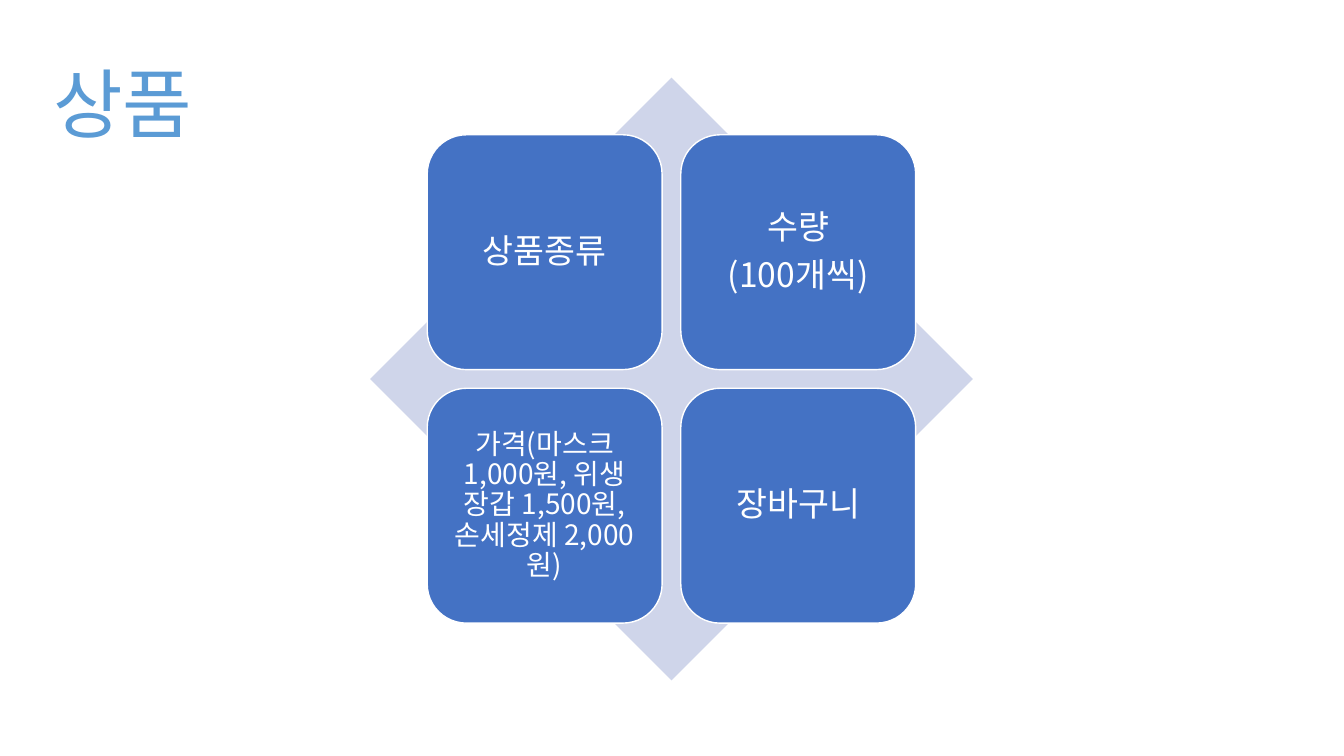
from lxml import etree
from pptx import Presentation
from pptx.dml.color import RGBColor
from pptx.enum.shapes import MSO_SHAPE
from pptx.enum.text import MSO_ANCHOR, PP_ALIGN
from pptx.oxml.ns import qn
from pptx.util import Inches, Pt

DIAMOND, ROUNDED = MSO_SHAPE.DIAMOND, MSO_SHAPE.ROUNDED_RECTANGLE
MIDDLE = MSO_ANCHOR.MIDDLE
LEFT, CENTER = PP_ALIGN.LEFT, PP_ALIGN.CENTER

FONT = "Noto Sans CJK KR"
COLORS = {"title": "5B9BD5", "diamond": "CFD5EA", "card": "4472C4", "white": "FFFFFF"}

TITLE = "상품"
# Paragraphs, text size in points, inner margin in inches; row by row
CARDS = [
    (["상품종류"], 24, 0.1),
    (["수량", "(100개씩)"], 24, 0.1),
    (["가격(마스크 1,000원, 위생 장갑 1,500원, 손세정제 2,000원)"], 20, 0.08),
    (["장바구니"], 24, 0.1),
]

DIAMOND_LEFT, DIAMOND_TOP, DIAMOND_SIZE = 3.67, 0.77, 5.98
CARD_SIZE, CARD_STEP, COLUMNS = 2.33, 2.515, 2
CARD_INSET = (DIAMOND_SIZE - CARD_SIZE - CARD_STEP) / 2


def write(frame, lines, size, color, align, space_after=0):
    """Fill a text frame with vertically centred paragraphs in one style."""
    frame.word_wrap = True
    frame.vertical_anchor = MIDDLE
    for index, line in enumerate(lines):
        paragraph = frame.add_paragraph() if index else frame.paragraphs[0]
        paragraph.text = line
        paragraph.alignment = align
        paragraph.line_spacing = 0.9
        paragraph.space_after = Pt(space_after)
        paragraph.font.size = Pt(size)
        paragraph.font.color.rgb = RGBColor.from_string(color)
        paragraph.font.name = FONT
        defaults = paragraph._p.find(".//" + qn("a:defRPr"))
        etree.SubElement(defaults, qn("a:ea"), typeface=FONT)


def add_block(slide, preset, left, top, size, fill):
    """Add a square preset shape with a plain fill and no outline."""
    block = slide.shapes.add_shape(
        preset, Inches(left), Inches(top), Inches(size), Inches(size))
    block.shadow.inherit = False
    block.fill.solid()
    block.fill.fore_color.rgb = RGBColor.from_string(fill)
    block.line.fill.background()
    return block


def add_card(slide, index, lines, size, margin):
    """Add one outlined card at its place in the grid."""
    row, column = divmod(index, COLUMNS)
    card = add_block(slide, ROUNDED,
                     DIAMOND_LEFT + CARD_INSET + column * CARD_STEP,
                     DIAMOND_TOP + CARD_INSET + row * CARD_STEP,
                     CARD_SIZE, COLORS["card"])
    card.line.color.rgb = RGBColor.from_string(COLORS["white"])
    card.line.width = Pt(1)
    frame = card.text_frame
    frame.margin_left = frame.margin_right = Inches(margin)
    frame.margin_top = frame.margin_bottom = Inches(margin)
    write(frame, lines, size, COLORS["white"], CENTER, size * 0.35)


presentation = Presentation()
presentation.slide_width, presentation.slide_height = Inches(13.33), Inches(7.5)
slide = presentation.slides.add_slide(presentation.slide_layouts[6])

title = slide.shapes.add_textbox(Inches(0.43), Inches(0.35), Inches(12.48), Inches(1.45))
write(title.text_frame, [TITLE], 54, COLORS["title"], LEFT)

add_block(slide, DIAMOND, DIAMOND_LEFT, DIAMOND_TOP, DIAMOND_SIZE, COLORS["diamond"])
for index, (lines, size, margin) in enumerate(CARDS):
    add_card(slide, index, lines, size, margin)

presentation.save("out.pptx")
